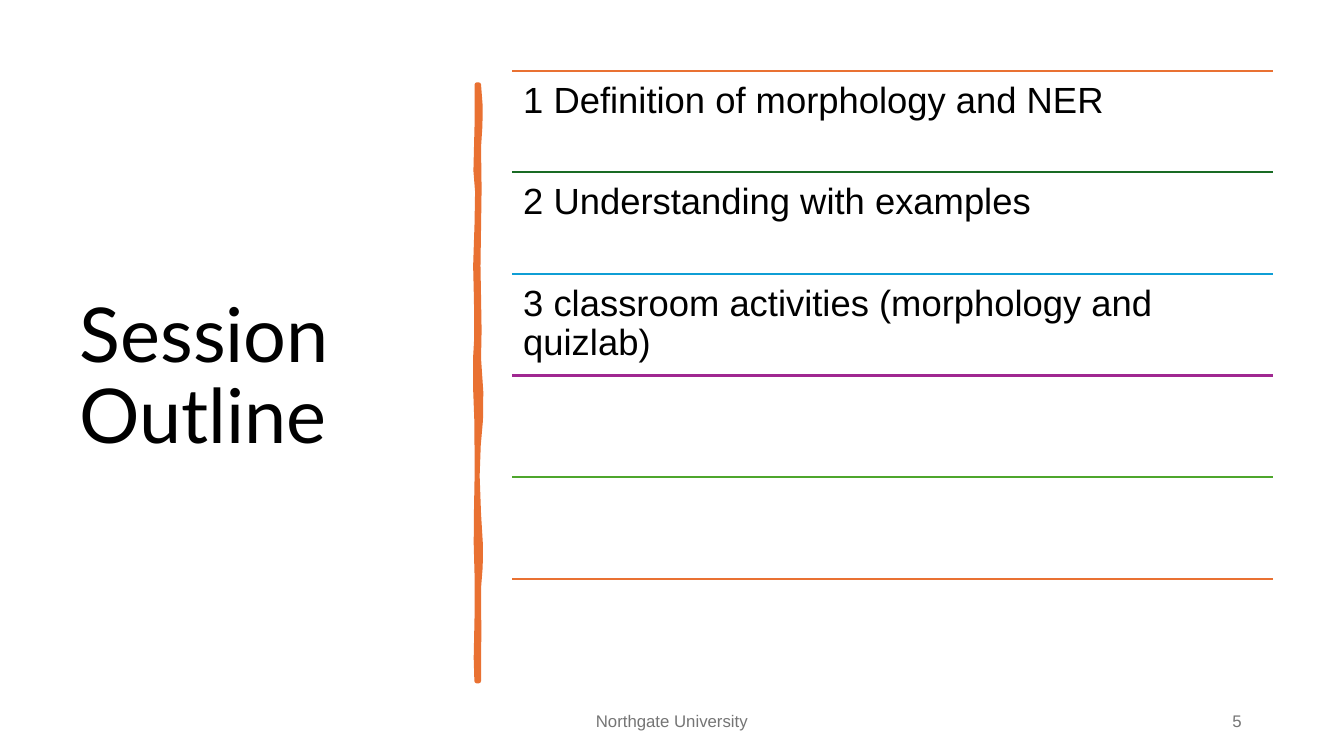
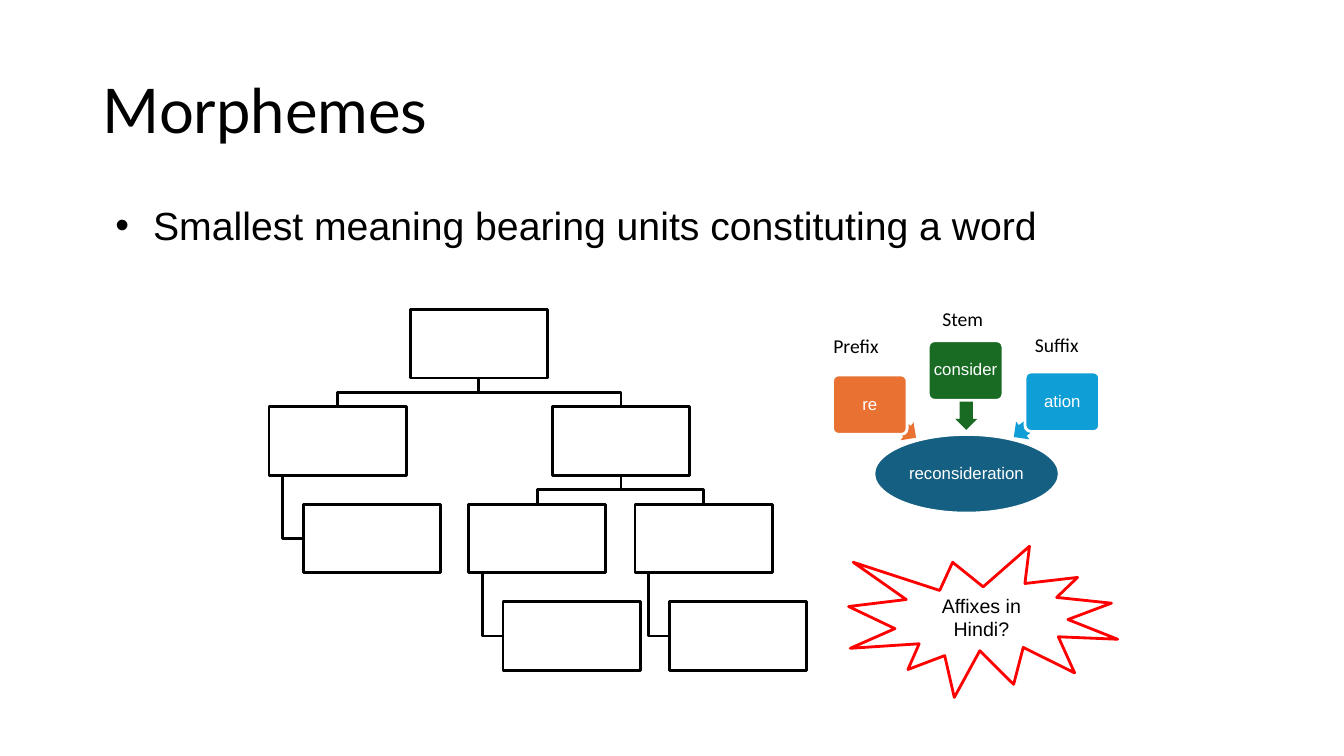
from lxml.etree import SubElement
from pptx import Presentation
from pptx.dml.color import RGBColor
from pptx.enum.shapes import MSO_CONNECTOR, MSO_SHAPE as SHAPE
from pptx.enum.text import MSO_ANCHOR as ANCHOR, MSO_AUTO_SIZE, PP_ALIGN as ALIGN
from pptx.oxml.ns import qn
from pptx.util import Pt

BLACK = RGBColor(0x00, 0x00, 0x00)
WHITE = RGBColor(0xFF, 0xFF, 0xFF)
GRAY = RGBColor(0x75, 0x75, 0x75)
RED = RGBColor(0xFF, 0x00, 0x00)
ORANGE = RGBColor(0xE9, 0x71, 0x32)
GREEN = RGBColor(0x19, 0x6B, 0x24)
BLUE = RGBColor(0x0F, 0x9E, 0xD5)
PURPLE = RGBColor(0xA0, 0x28, 0x91)
LIME = RGBColor(0x4E, 0xA6, 0x2C)
TEAL = RGBColor(0x15, 0x60, 0x82)

TITLE_FONT, BODY_FONT, LABEL_FONT = "Lato", "Arial", "Calibri"
INSETS = (7.2, 3.6, 7.2, 3.6)

OUTLINE = [
    ("1 Definition of morphology and NER", ORANGE),
    ("2 Understanding with examples", GREEN),
    ("3 classroom activities (morphology and quizlab)", BLUE),
    ("", PURPLE),
    ("", LIME),
    ("", ORANGE),
]

# Brush stroke edges, as x, y down the right side and up the left side
BRUSH = [
    (342, 60.5), (343.2, 76), (343, 90), (342, 105), (342.4, 135), (342, 163),
    (341.6, 190), (342, 212), (342.4, 236), (342, 256), (343.6, 280),
    (343.4, 300), (341.8, 318), (341, 340), (342, 367), (343.4, 390),
    (343.2, 405), (342, 420), (342.2, 450), (342, 486.5), (340.5, 486.5),
    (340, 470), (340.6, 441), (340.6, 410), (340, 388), (340.2, 365),
    (340.6, 343), (340.6, 320), (340.4, 299), (339.6, 278), (339.6, 255),
    (340.4, 241), (340.2, 215), (339.6, 190), (340.6, 160), (341, 137),
    (339.8, 122), (340.6, 90), (340.6, 60.5),
]

# Tree boxes as left edge and level
BOX_W, BOX_H, TREE_TOP, LEVEL_STEP = 98, 49, 221, 69.6
TREE = {
    "root": (293, 0),
    "left": (192.2, 1), "right": (394.6, 1),
    "left leaf": (216.7, 2), "middle": (334.8, 2), "end": (453.6, 2),
    "middle leaf": (359.3, 3), "end leaf": (478.1, 3),
}
BRANCHES = [("root", "left"), ("root", "right"), ("right", "middle"), ("right", "end")]
HANGING = [("left", "left leaf"), ("middle", "middle leaf"), ("end", "end leaf")]

# Part, colour, left, top, then the arrow's left, top, width, rotation
PARTS = [
    ("re", ORANGE, 594.7, 267.8, 617.8, 293, 40.3, 215.6),
    ("consider", GREEN, 663.1, 243.4, 668.9, 277.9, 42.5, 270),
    ("ation", BLUE, 732.2, 265.7, 720, 291.6, 42.5, 323.3),
]
LABELS = [("Stem", 666, 216), ("Prefix", 588.2, 234.7), ("Suffix", 732.2, 234)]


def box(*lengths):
    return [Pt(v) for v in lengths]


def write(sp, text, size, font=BODY_FONT, color=BLACK, align=ALIGN.LEFT,
          anchor=ANCHOR.TOP, spacing=1.0, insets=INSETS):
    """Fill a shape with one formatted paragraph and return the paragraph."""
    tf = sp.text_frame
    frame = {"word_wrap": True, "auto_size": MSO_AUTO_SIZE.NONE, "vertical_anchor": anchor}
    sides = ("margin_left", "margin_top", "margin_right", "margin_bottom")
    frame.update(zip(sides, box(*insets)))
    for name, value in frame.items():
        setattr(tf, name, value)
    p = tf.paragraphs[0]
    p.alignment, p.line_spacing = align, spacing
    r = p.add_run()
    r.text = text
    for name, value in {"name": font, "size": Pt(size), "bold": False}.items():
        setattr(r.font, name, value)
    r.font.color.rgb = color
    return p


def add_text(s, place, text, size, **style):
    return write(s.shapes.add_textbox(*box(*place)), text, size, **style)


def place_holder(sp, place):
    sp.left, sp.top, sp.width, sp.height = box(*place)
    return sp


def add_title(s, place, text, size):
    write(place_holder(s.shapes.title, place), text, size, font=TITLE_FONT,
          anchor=ANCHOR.MIDDLE, spacing=0.9)


def add_bullet(s, place, text):
    p = write(place_holder(s.placeholders[1], place), text, 28, spacing=0.9)
    p.space_before = Pt(10)
    pPr = p._p.get_or_add_pPr()
    pPr.set("marL", str(Pt(36)))
    pPr.set("indent", str(-Pt(27)))
    SubElement(pPr, qn("a:buFont"), typeface="Arial")
    SubElement(pPr, qn("a:buChar"), char="•")


def paint(sp, fill=None, line=None, width=2):
    sp.shadow.inherit = False
    if fill is None:
        sp.fill.background()
    else:
        sp.fill.solid()
        sp.fill.fore_color.rgb = fill
    if line is None:
        sp.line.fill.background()
    else:
        sp.line.color.rgb = line
        sp.line.width = Pt(width)
    return sp


def add_shape(s, kind, place, fill=None, line=None, adjustments=()):
    sp = s.shapes.add_shape(kind, *box(*place))
    for i, value in enumerate(adjustments):
        sp.adjustments[i] = value
    return paint(sp, fill, line)


def add_outline(s, points, close=False, **style):
    first, *rest = [tuple(box(*point)) for point in points]
    builder = s.shapes.build_freeform(*first)
    builder.add_line_segments(rest, close=close)
    return paint(builder.convert_to_shape(), **style)


def add_rule(s, left, right, y, color):
    c = s.shapes.add_connector(MSO_CONNECTOR.STRAIGHT, *box(left, y, right, y))
    c.line.color.rgb = color
    c.line.width = Pt(1.5)
    SubElement(c._element.spPr, qn("a:effectLst"))


def add_outline_rows(s):
    left, top, width, step = 365.8, 50.4, 543.6, 72.6
    for i, (text, color) in enumerate(OUTLINE):
        y = top + i * step
        add_rule(s, left, left + width, y, color)
        if text:
            add_text(s, (left, y, width, step), text, 26, spacing=0.9, insets=(7.9,) * 4)


def add_footer(s, text, number):
    for place, words, align in (((318, 500.4, 324, 28.8), text, ALIGN.CENTER),
                                ((678, 500.4, 216, 28.8), number, ALIGN.RIGHT)):
        add_text(s, place, words, 12, color=GRAY, align=align, anchor=ANCHOR.MIDDLE)


def add_tree(s):
    spots = {name: (x, TREE_TOP + level * LEVEL_STEP) for name, (x, level) in TREE.items()}
    gap = LEVEL_STEP - BOX_H
    for parent, child in BRANCHES:
        (px, py), (cx, cy) = spots[parent], spots[child]
        px, cx = px + BOX_W / 2, cx + BOX_W / 2
        bus = cy - gap / 2
        add_outline(s, [(px, py + BOX_H), (px, bus), (cx, bus), (cx, cy)], line=BLACK)
    for parent, child in HANGING:
        (px, py), (cx, cy) = spots[parent], spots[child]
        x, y = px + BOX_W / 10, cy + BOX_H / 2
        add_outline(s, [(x, py + BOX_H), (x, y), (cx, y)], line=BLACK)
    for x, y in spots.values():
        add_shape(s, SHAPE.RECTANGLE, (x, y, BOX_W, BOX_H), WHITE, BLACK)


def add_word_parts(s):
    centred = {"align": ALIGN.CENTER, "anchor": ANCHOR.MIDDLE, "color": WHITE, "spacing": 0.9}
    word = add_shape(s, SHAPE.OVAL, (624.2, 310.3, 132.5, 56.2), TEAL, WHITE)
    write(word, "reconsideration", 12, insets=(1,) * 4, **centred)
    for text, color, x, y, arrow_x, arrow_y, arrow_w, rotation in PARTS:
        arrow = add_shape(s, SHAPE.LEFT_ARROW, (arrow_x, arrow_y, arrow_w, 15.8), color,
                          adjustments=(0.6, 0.5))
        arrow.rotation = rotation
        part = add_shape(s, SHAPE.ROUNDED_RECTANGLE, (x, y, 53.3, 42.5), color, WHITE, (0.1,))
        write(part, text, 12, insets=(1,) * 4, **centred)
    for text, x, y in LABELS:
        add_text(s, (x, y, 64, 24.5), text, 14, font=LABEL_FONT)


def build_session_outline(prs):
    s = prs.slides.add_slide(prs.slide_layouts[5])
    add_title(s, (49.7, 50.4, 269.3, 439.9), "Session Outline", 54)
    add_outline(s, BRUSH, close=True, fill=ORANGE, line=ORANGE, width=3.25)
    add_outline_rows(s)
    add_footer(s, "Northgate University", "5")


def build_morphemes(prs):
    s = prs.slides.add_slide(prs.slide_layouts[1])
    add_title(s, (66.2, 28.8, 828, 104.4), "Morphemes", 44)
    add_bullet(s, (66.2, 144, 828, 342.7), "Smallest meaning bearing units constituting a word")
    add_word_parts(s)
    add_tree(s)
    seal = add_shape(s, SHAPE.EXPLOSION1, (606.2, 390.2, 192.2, 108), line=RED)
    write(seal, "Affixes in Hindi?", 14, align=ALIGN.CENTER, anchor=ANCHOR.MIDDLE)


def main():
    prs = Presentation()
    prs.slide_width, prs.slide_height = Pt(960), Pt(540)
    build_session_outline(prs)
    build_morphemes(prs)
    prs.save("out.pptx")


if __name__ == "__main__":
    main()
